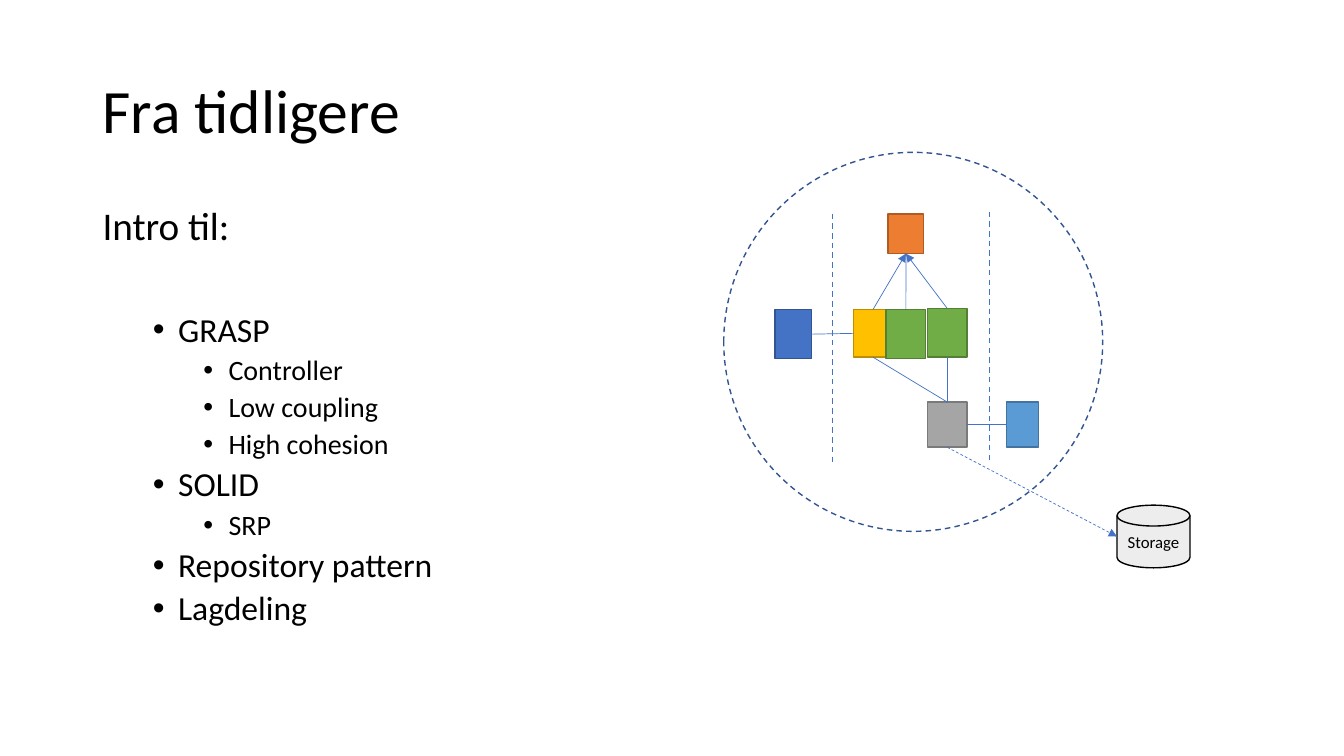
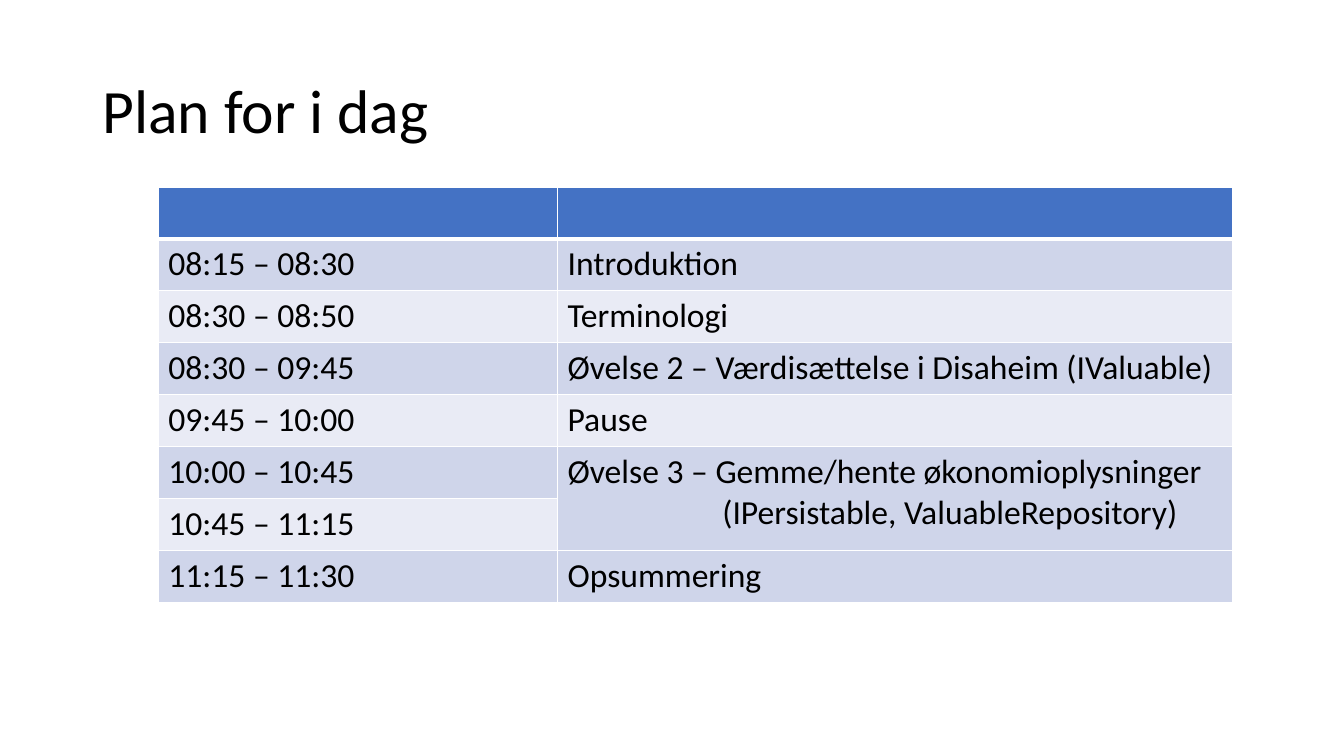
import pptx
import pptx.util
import pptx.dml.color
import pptx.enum.dml
import pptx.enum.shapes
import pptx.enum.text
import pptx.oxml
import pptx.oxml.ns
import lxml.etree

Cm, Pt = pptx.util.Cm, pptx.util.Pt
Kind = pptx.enum.shapes.MSO_SHAPE
Align, Anchor = pptx.enum.text.PP_ALIGN, pptx.enum.text.MSO_ANCHOR
qn = pptx.oxml.ns.qn

# Content
FONT = "Calibri"
BLACK, WHITE, BLUE, NAVY = "000000", "FFFFFF", "4472C4", "325491"
BANDS = ("E9EBF5", "CFD5EA")
TITLE_BOX = (2.33, 1.01, 29.21, 3.68)
BODY_BOX = (2.33, 5.07, 29.21, 12.09)

TOPICS = [  # level, text
    (0, "Intro til:"),
    (1, "GRASP"),
    (2, "Controller"),
    (2, "Low coupling"),
    (2, "High cohesion"),
    (1, "SOLID"),
    (2, "SRP"),
    (1, "Repository pattern"),
    (1, "Lagdeling"),
]
LEVELS = [(28, 10, 0), (24, 5, 0.75), (20, 5, 1.25)]  # size, space, indent in inches
INTRO_GAP = 46

NODES = {  # place, fill, line
    "client": ((19.53, 7.8, 0.92, 1.24), BLUE, NAVY),
    "yellow": ((21.51, 7.8, 0.98, 1.2), "FFC000", "BD8E00"),
    "right": ((23.37, 7.77, 1, 1.23), "70AD47", "538035"),
    "grey": ((23.37, 10.13, 1, 1.14), "A5A5A5", "7A7A7A"),
    "sky": ((25.37, 10.13, 0.8, 1.14), "5B9BD5", "43739E"),
    "top": ((22.38, 5.39, 0.9, 1), "ED7D31", "AF5C24"),
    "middle": ((22.33, 7.8, 1, 1.24), "70AD47", "538035"),
}
STORE = (28.15, 12.73, 1.84, 1.58)
CIRCLE = (18.24, 3.84, 9.55, 9.55)
DIVIDERS = [(20.98, 5.38, 11.63), (24.94, 5.33, 11.63)]  # x, top, bottom
TOP, LEFT, BOTTOM, RIGHT = range(4)
LINKS = [  # from, side, to, side, arrow
    ("yellow", TOP, "top", BOTTOM, True),
    ("right", TOP, "top", BOTTOM, True),
    ("top", BOTTOM, "middle", TOP, False),
    ("client", RIGHT, "yellow", LEFT, False),
    ("right", BOTTOM, "grey", TOP, False),
    ("yellow", BOTTOM, "grey", TOP, False),
    ("grey", RIGHT, "sky", LEFT, False),
]

PLAN = [  # time, lines; None joins the cell above
    ("", [""]),
    ("08:15 – 08:30", ["Introduktion"]),
    ("08:30 – 08:50", ["Terminologi"]),
    ("08:30 – 09:45", ["Øvelse 2 – Værdisættelse i Disaheim (IValuable)"]),
    ("09:45 – 10:00", ["Pause"]),
    ("10:00 – 10:45", ["Øvelse 3 – Gemme/hente økonomioplysninger",
                       "(IPersistable, ValuableRepository)"]),
    ("10:45 – 11:15", None),
    ("11:15 – 11:30", ["Opsummering"]),
]
COLS, ROW, HANG = (10.06, 17.02), 1.31, 3.9
TABLE_AT = (3.99, 4.71)


# Helpers
def color(code):
    return pptx.dml.color.RGBColor.from_string(code)


def place(shape, box):
    shape.left, shape.top, shape.width, shape.height = map(Cm, box)


def write(par, text, size=24, tint=BLACK, align=Align.LEFT, space=0, line=1.0):
    par.alignment, par.line_spacing, par.space_before = align, line, Pt(space)
    if text:
        run = par.add_run()
        run.text = text
        run.font.name, run.font.size = FONT, Pt(size)
        run.font.color.rgb = color(tint)


def indent(par, left, first=0):
    props = par._p.get_or_add_pPr()
    props.set("marL", str(int(left)))
    props.set("indent", str(int(first)))
    return props


def stroke(line, code, width, dash=False):
    line.color.rgb, line.width = color(code), Pt(width)
    if dash:
        line.dash_style = pptx.enum.dml.MSO_LINE.DASH


def draw(slide, kind, box, fill, edge, dash=False):
    shape = slide.shapes.add_shape(kind, *map(Cm, box))
    shape.shadow.inherit = False
    if fill:
        shape.fill.solid()
        shape.fill.fore_color.rgb = color(fill)
    else:
        shape.fill.background()
    stroke(shape.line, edge, 1, dash)
    return shape


def join(slide, start, end, width=0.5, dash=False, arrow=False):
    link = slide.shapes.add_connector(
        pptx.enum.shapes.MSO_CONNECTOR.STRAIGHT, *map(Cm, start + end))
    stroke(link.line, BLUE, width, dash)
    if arrow:
        head = lxml.etree.SubElement(link.line._get_or_add_ln(), qn("a:tailEnd"))
        head.set("type", "triangle")
    lxml.etree.SubElement(link._element.spPr, qn("a:effectLst"))
    return link


def side(box, site):
    x, y, w, h = box
    return [(x + w / 2, y), (x, y + h / 2), (x + w / 2, y + h), (x + w, y + h / 2)][site]


def border(cell, widths):
    props = cell._tc.get_or_add_tcPr()
    for spot, (name, width) in enumerate(zip(("lnL", "lnR", "lnT", "lnB"), widths)):
        edge = pptx.oxml.parse_xml(
            f'<a:{name} xmlns:a="http://schemas.openxmlformats.org/drawingml/2006/main" '
            f'w="{int(Pt(width))}"><a:solidFill><a:srgbClr val="{WHITE}"/></a:solidFill></a:{name}>')
        props.insert(spot, edge)


def start(deck, layout, title):
    slide = deck.slides.add_slide(deck.slide_layouts[layout])
    head = slide.shapes.title
    place(head, TITLE_BOX)
    head.text_frame.auto_size = pptx.enum.text.MSO_AUTO_SIZE.NONE
    head.text_frame.vertical_anchor = Anchor.MIDDLE
    write(head.text_frame.paragraphs[0], title, size=44, line=0.9)
    return slide


# Slides
def recap(deck):
    slide = start(deck, 1, "Fra tidligere")

    # Topic list
    body = slide.placeholders[1]
    place(body, BODY_BOX)
    frame = body.text_frame
    frame.auto_size = pptx.enum.text.MSO_AUTO_SIZE.NONE
    for num, (level, text) in enumerate(TOPICS):
        par = frame.add_paragraph() if num else frame.paragraphs[0]
        size, space, left = LEVELS[level]
        par.level = level
        write(par, text, size=size, space=INTRO_GAP if num == 1 else space, line=0.9)
        props = indent(par, pptx.util.Inches(left), -pptx.util.Inches(0.25) if level else 0)
        if level:
            lxml.etree.SubElement(props, qn("a:buFont")).set("typeface", "Arial")
            lxml.etree.SubElement(props, qn("a:buChar")).set("char", "•")
        else:
            lxml.etree.SubElement(props, qn("a:buNone"))

    # Layer diagram
    boxes = {name: draw(slide, Kind.RECTANGLE, *look) for name, look in NODES.items()}
    for one, out, two, into, arrow in LINKS:
        link = join(slide, side(NODES[one][0], out), side(NODES[two][0], into), arrow=arrow)
        link.begin_connect(boxes[one], out)
        link.end_connect(boxes[two], into)
    draw(slide, Kind.OVAL, CIRCLE, None, NAVY, dash=True)
    for x, top, low in DIVIDERS:
        join(slide, (x, top), (x, low), width=1, dash=True)

    # Storage
    store = draw(slide, Kind.FLOWCHART_MAGNETIC_DISK, STORE, "EDEDED", BLACK)
    frame = store.text_frame
    frame.margin_left = frame.margin_right = 0
    frame.vertical_anchor = Anchor.MIDDLE
    write(frame.paragraphs[0], "Storage", size=12, align=Align.CENTER)
    join(slide, side(NODES["grey"][0], BOTTOM), side(STORE, LEFT), dash=True, arrow=True)


def agenda(deck):
    slide = start(deck, 5, "Plan for i dag")
    size = (sum(COLS), ROW * len(PLAN))
    table = slide.shapes.add_table(len(PLAN), len(COLS), *map(Cm, TABLE_AT + size)).table
    table.horz_banding = False
    for col, width in zip(table.columns, COLS):
        col.width = Cm(width)
    for num, (time, lines) in enumerate(PLAN):
        table.rows[num].height = Cm(ROW)
        for cell, texts in zip(table.rows[num].cells, ([time], lines)):
            cell.fill.solid()
            cell.fill.fore_color.rgb = color(BANDS[num % 2] if num else BLUE)
            border(cell, (1, 1, 3 if num == 1 else 1, 1 if num else 3))
            for row, text in enumerate(texts or []):
                par = cell.text_frame.add_paragraph() if row else cell.text_frame.paragraphs[0]
                write(par, text)
                if row:
                    indent(par, Cm(HANG))
        if lines is None:
            table.cell(num - 1, 1).merge(table.cell(num, 1))


def main():
    deck = pptx.Presentation()
    deck.slide_width, deck.slide_height = Cm(33.87), Cm(19.05)
    recap(deck)
    agenda(deck)
    deck.save("out.pptx")


if __name__ == "__main__":
    main()
